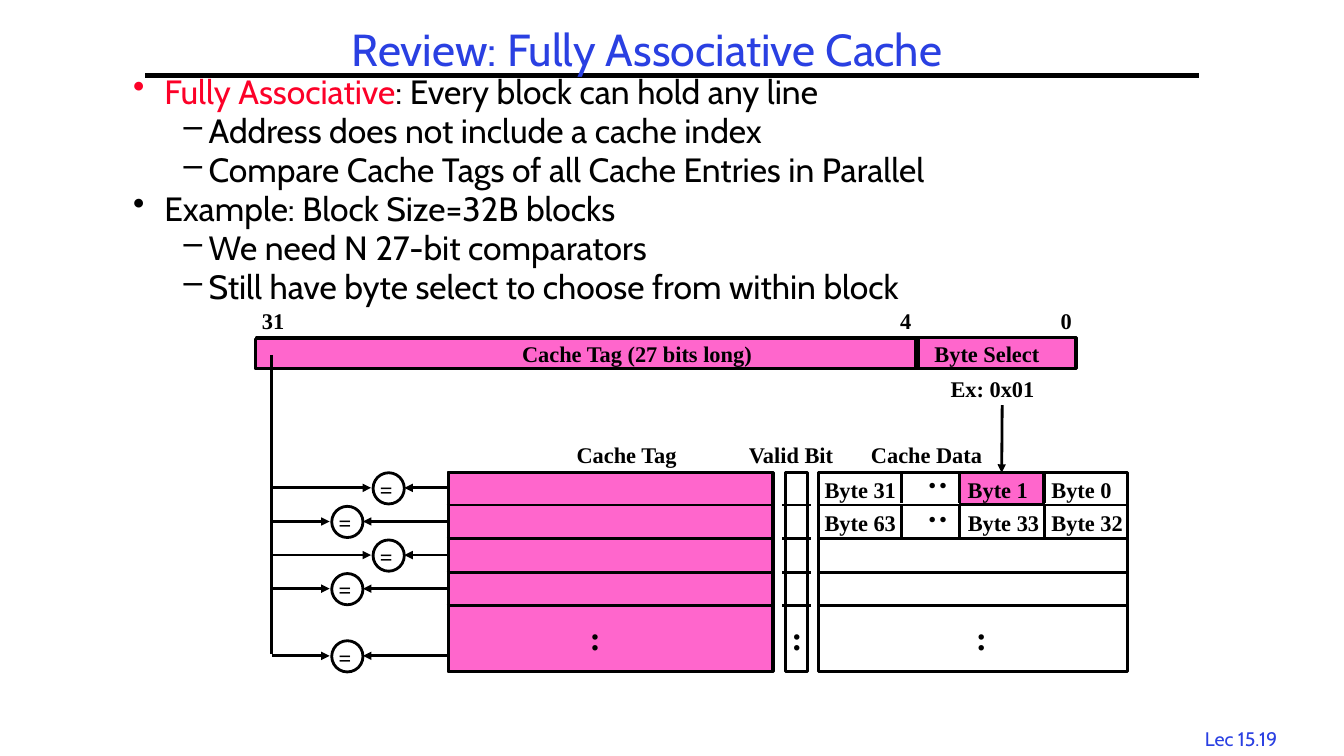
"""Build the slide that reviews a fully associative cache."""
import pptx
import pptx.dml.color
import pptx.enum.shapes
import pptx.enum.text
import pptx.oxml
import pptx.oxml.ns
import pptx.util

Inches = pptx.util.Inches
Pt = pptx.util.Pt
SHAPES = pptx.enum.shapes.MSO_SHAPE
ALIGN = pptx.enum.text.PP_ALIGN
BLACK, BLUE, RED, PINK = "000000", "2A40E2", "FC0128", "FF66CC"
ROW_STEP = 1 / 3


def color(value):
    return pptx.dml.color.RGBColor.from_string(value)


def add_element(parent, tag, **attributes):
    element = pptx.oxml.parse_xml(f"<a:{tag} {pptx.oxml.ns.nsdecls('a')}/>")
    for name, value in attributes.items():
        element.set(name, value)
    parent.append(element)


def write(para, text, size=16, font="Times New Roman", ink=BLACK, bold=True):
    span = para.add_run()
    span.text = text
    span.font.size = Pt(size)
    span.font.name = font
    span.font.bold = bold
    span.font.color.rgb = color(ink)


class Sketch:
    def __init__(self, page, stroke=2, ink=BLACK):
        self.page = page
        self.stroke = stroke
        self.ink = ink

    def box(self, left, top, width, height, inset=(0.1, 0.05), wrap=False):
        box = self.page.shapes.add_textbox(
            Inches(left), Inches(top), Inches(width), Inches(height))
        frame = box.text_frame
        frame.margin_left = frame.margin_right = Inches(inset[0])
        frame.margin_top = frame.margin_bottom = Inches(inset[1])
        frame.word_wrap = wrap
        return box

    def label(self, text, left, top, width, height=0.37, align=ALIGN.LEFT,
              spacing=1.0, turn=0, inset=(0.1, 0.05), **style):
        box = self.box(left, top, width, height, inset)
        box.rotation = turn
        para = box.text_frame.paragraphs[0]
        para.alignment = align
        para.line_spacing = spacing
        write(para, text, **style)

    def dots(self, left, top, turn=0):
        self.label(":", left, top, 0.31, 0.5, turn=turn, size=24)

    def outline(self, left, top, width, height, fill=None, kind=SHAPES.RECTANGLE,
                stroke=None):
        shape = self.page.shapes.add_shape(
            kind, Inches(left), Inches(top), Inches(width), Inches(height))
        shape.shadow.inherit = False
        if fill:
            shape.fill.solid()
            shape.fill.fore_color.rgb = color(fill)
        else:
            shape.fill.background()
        shape.line.color.rgb = color(self.ink)
        shape.line.width = Pt(stroke or self.stroke)
        return shape

    def field(self, left, top, width, height):
        return self.outline(left, top, width, height, PINK, stroke=1.5)

    def line(self, x1, y1, x2, y2, arrow=False, stroke=None):
        line = self.page.shapes.add_connector(
            pptx.enum.shapes.MSO_CONNECTOR.STRAIGHT,
            Inches(x1), Inches(y1), Inches(x2), Inches(y2))
        line.line.color.rgb = color(self.ink)
        line.line.width = Pt(stroke or self.stroke)
        if arrow:
            add_element(line.line._get_or_add_ln(), "tailEnd", type="triangle")
        add_element(line._element.spPr, "effectLst")
        return line

    def bullets(self, items, left, top, width, height):
        frame = self.box(left, top, width, height, (0.07, 0.03), True).text_frame
        for index, (level, spans) in enumerate(items):
            para = frame.add_paragraph() if index else frame.paragraphs[0]
            indent, hanging, mark = ((0.31, 0.31, "•"), (0.75, 0.25, "–"))[level]
            para.level = level
            para.line_spacing = 0.8
            para.space_before = Pt(4.8 if index else 0)
            properties = para._p.get_or_add_pPr()
            properties.set("marL", str(Inches(indent)))
            properties.set("indent", str(-Inches(hanging)))
            add_element(properties, "buChar", char=mark)
            for text, ink in spans:
                write(para, text, 24, "Cabin", ink, False)

    def column(self, left, width, overhang, dots_left):
        self.outline(left, 4.69, width, 1.97)
        for row in range(4):
            y = 5.01 + row * ROW_STEP
            self.line(left - overhang, y, left + width + overhang, y)
        self.dots(dots_left, 6.07)

    def comparator(self, row, left):
        y = 4.84 + row * ROW_STEP
        self.outline(left, y - 0.15, 0.31, 0.31, kind=SHAPES.OVAL)
        self.label("=", left - 0.03, y - 0.17, 0.33)
        self.line(4.45, y, left + 0.31, y, arrow=True)
        self.line(2.7, y, left - 0.02, y, arrow=True)


def main():
    deck = pptx.Presentation()
    deck.slide_width, deck.slide_height = Inches(13.33), Inches(7.5)
    sketch = Sketch(deck.slides.add_slide(deck.slide_layouts[6]))
    heading = {"font": "Cabin", "ink": BLUE, "bold": False, "align": ALIGN.CENTER}

    sketch.label("Lec 15.19", 11.77, 7.16, 1.08, 0.33, size=14, **heading)
    sketch.line(1.44, 0.75, 11.89, 0.75, stroke=3)
    sketch.field(4.44, 4.68, 3.22, 1.99)
    selected_byte = sketch.field(9.52, 4.69, 0.83, 0.31)
    sketch.field(9.09, 3.35, 1.57, 0.31)
    sketch.field(2.53, 3.36, 6.55, 0.3)
    sketch.label("Review: Fully Associative Cache", 3.11, 0.25, 6.62, 0.54,
                 spacing=0.9, inset=(0.07, 0.03), size=32, **heading)
    sketch.bullets([
        (0, [("Fully Associative", RED), (": Every block can hold any line", BLACK)]),
        (1, [("Address does not include a cache index", BLACK)]),
        (1, [("Compare Cache Tags of all Cache Entries in Parallel", BLACK)]),
        (0, [("Example: Block Size=32B blocks", BLACK)]),
        (1, [("We need N 27-bit comparators", BLACK)]),
        (1, [("Still have byte select to choose from within block", BLACK)]),
    ], 1.25, 0.75, 10.92, 2.82)

    for column in ((8.12, 3.06, 0, 9.58), (7.79, 0.22, 0.03, 7.75),
                   (4.45, 3.22, 0.02, 5.75)):
        sketch.column(*column)
    for text, left, width in (("Cache Data", 8.54, 1.31), ("Valid Bit", 7.33, 1.06),
                              ("Cache Tag", 5.62, 1.21)):
        sketch.label(text, left, 4.33, width)

    for row, names in enumerate((("Byte 31", "Byte 1", "Byte 0"),
                                 ("Byte 63", "Byte 33", "Byte 32"))):
        shift = row * ROW_STEP
        for name, left in zip(names, (8.08, 9.5, 10.33)):
            sketch.label(name, left, 4.67 + shift, 0.92 if len(name) == 7 else 0.8)
        for x in (8.94, 9.52, 10.36):
            sketch.line(x, 4.69 + shift, x, 4.99 + shift)
        sketch.dots(9.09, 4.57 + shift, turn=270)

    sketch.outline(2.54, 3.35, 8.14, 0.31)
    sketch.line(9.11, 3.35, 9.11, 3.66)
    for text, left, top, width in (
            ("31", 2.5, 3, 0.42), ("4", 8.83, 3, 0.31), ("0", 10.42, 3, 0.31),
            ("Cache Tag (27 bits long)", 5.08, 3.33, 2.51),
            ("Byte Select", 9.17, 3.33, 1.26), ("Ex: 0x01", 9.33, 3.67, 1.04)):
        sketch.label(text, left, top, width)

    sketch.line(2.69, 3.52, 2.69, 6.49)
    for row, left in ((0, 3.7), (1, 3.29), (2, 3.7), (3, 3.29), (5, 3.29)):
        sketch.comparator(row, left)
    pointer = sketch.line(9.94, 4.02, 9.94, 4.69, arrow=True)
    pointer.end_connect(selected_byte, 0)

    deck.save("out.pptx")


if __name__ == "__main__":
    main()
